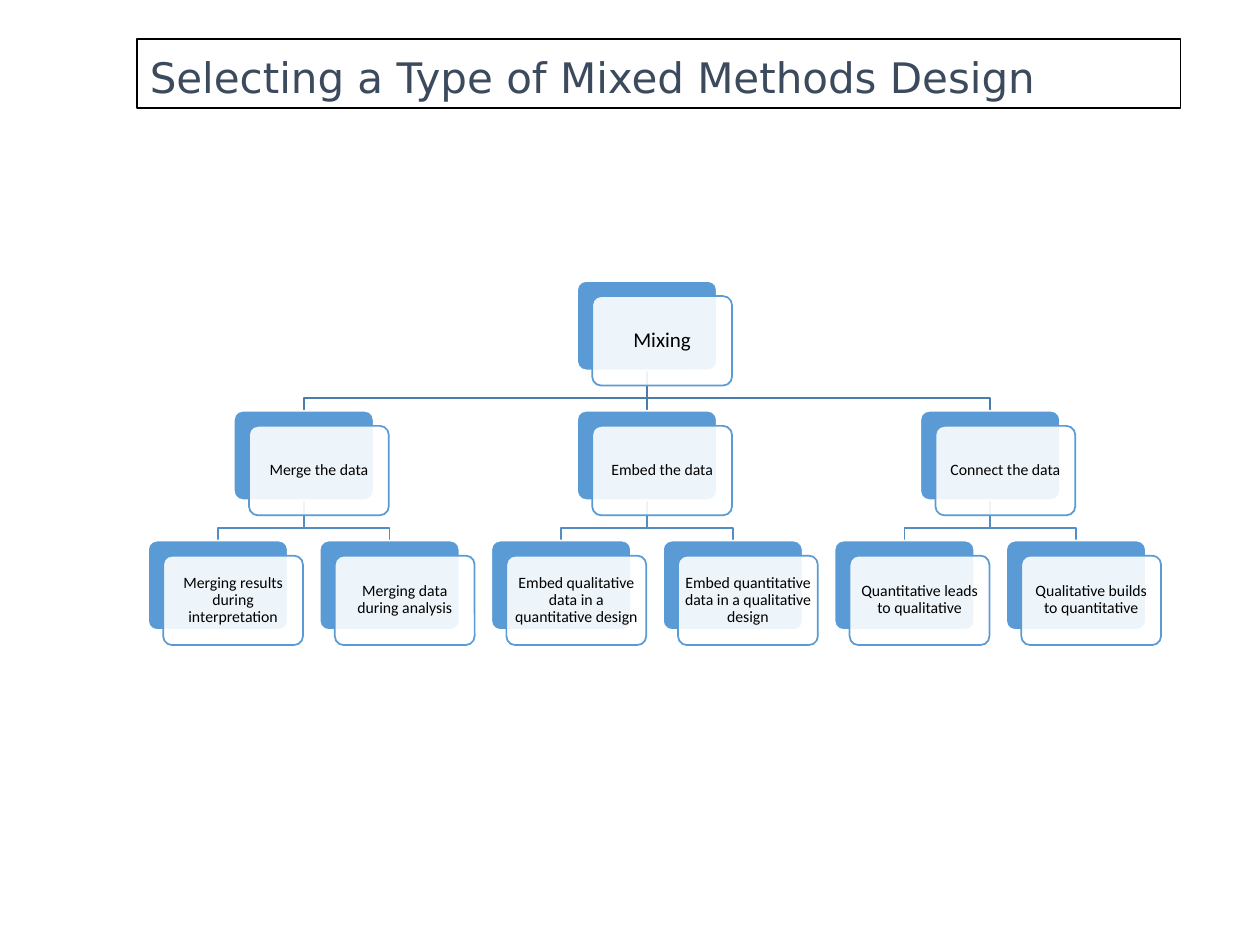
import pptx
import pptx.util
import pptx.dml.color
import pptx.enum.shapes
import pptx.enum.text
from dataclasses import dataclass
from lxml import etree

Inches = pptx.util.Inches
Pt = pptx.util.Pt
SHAPE = pptx.enum.shapes.MSO_SHAPE
ALIGN = pptx.enum.text.PP_ALIGN
ANCHOR = pptx.enum.text.MSO_ANCHOR
A_NS = "http://schemas.openxmlformats.org/drawingml/2006/main"


@dataclass(frozen=True)
class Theme:
    white: str = "FFFFFF"
    black: str = "000000"
    accent: str = "5B9BD5"
    upper_line: str = "497CAB"
    lower_line: str = "538DC1"
    title_color: str = "3C4A5E"
    title_font: str = "DejaVu Sans"
    body_font: str = "Calibri"
    title_size: int = 24
    root_size: int = 12
    node_size: int = 9
    line_width: int = 1


# Layout: leaves sit at equal steps, each parent is centred over its children
CARD_W, CARD_H = 1.11, 0.71
OFFSET = 0.12
LEVEL_TOPS = (2.23, 3.26, 4.29)
ELBOW_DROP = 0.22
FIRST_LEAF, LAST_LEAF = 1.73, 8.54
LEAF_STEP = (LAST_LEAF - FIRST_LEAF) / 5

ROOT = "Mixing"
BRANCHES = {
    "Merge the data": ("Merging results during interpretation",
                       "Merging data during analysis"),
    "Embed the data": ("Embed qualitative data in a quantitative design",
                       "Embed quantitative data in a qualitative design"),
    "Connect the data": ("Quantitative leads to qualitative",
                         "Qualitative builds to quantitative"),
}


def rgb(color):
    return pptx.dml.color.RGBColor.from_string(color)


class Deck:
    def __init__(self, theme):
        self.theme = theme
        self.prs = pptx.Presentation()
        self.prs.slide_width, self.prs.slide_height = Inches(10), Inches(7.5)
        self.s = self.prs.slides.add_slide(self.prs.slide_layouts[6])

    def outline(self, sp, color):
        sp.line.color.rgb = rgb(color)
        sp.line.width = Pt(self.theme.line_width)

    def box(self, kind, x, y, w, h, fill, line):
        sp = self.s.shapes.add_shape(kind, Inches(x), Inches(y), Inches(w), Inches(h))
        sp.shadow.inherit = False
        sp.fill.solid()
        sp.fill.fore_color.rgb = rgb(fill)
        self.outline(sp, line)
        return sp

    def label(self, sp, text, font, size, color, align, anchor):
        tf = sp.text_frame
        tf.text = text
        tf.word_wrap = True
        tf.vertical_anchor = anchor
        p = tf.paragraphs[0]
        p.alignment = align
        p.line_spacing = 0.9
        r = p.runs[0]
        r.font.name, r.font.size = font, Pt(size)
        r.font.color.rgb = rgb(color)

    def title(self, text):
        t = self.theme
        sp = self.box(SHAPE.RECTANGLE, 1.09, 0.31, 8.28, 0.55, t.white, t.black)
        self.label(sp, text, t.title_font, t.title_size, t.title_color,
                   ALIGN.LEFT, ANCHOR.BOTTOM)

    def card(self, center, level, text, size):
        """Draw a solid back card and a labelled front card; return the back one."""
        t = self.theme
        x, y = center - CARD_W / 2, LEVEL_TOPS[level]
        back = self.box(SHAPE.ROUNDED_RECTANGLE, x, y, CARD_W, CARD_H, t.accent, t.white)
        front = self.box(SHAPE.ROUNDED_RECTANGLE, x + OFFSET, y + OFFSET,
                         CARD_W, CARD_H, t.white, t.accent)
        for sp in (back, front):
            sp.adjustments[0] = 0.1
        color = front._element.spPr.find(f"{{{A_NS}}}solidFill/{{{A_NS}}}srgbClr")
        etree.SubElement(color, f"{{{A_NS}}}alpha", val="90000")
        tf = front.text_frame
        tf.margin_left = tf.margin_right = Inches(0.03)
        tf.margin_top = tf.margin_bottom = Inches(0.04)
        self.label(front, text, t.body_font, size, t.black, ALIGN.CENTER, ANCHOR.MIDDLE)
        return back

    def elbow(self, parent, child, level, color):
        top, bottom = LEVEL_TOPS[level] + CARD_H, LEVEL_TOPS[level + 1]
        turn = top + ELBOW_DROP
        points = [(parent, turn), (child, turn), (child, bottom)]
        fb = self.s.shapes.build_freeform(Inches(parent), Inches(top))
        fb.add_line_segments([(Inches(x), Inches(y)) for x, y in points], close=False)
        sp = fb.convert_to_shape()
        sp.shadow.inherit = False
        sp.fill.background()
        self.outline(sp, color)

    def straight(self, x, level, color):
        c = self.s.shapes.add_connector(
            pptx.enum.shapes.MSO_CONNECTOR.STRAIGHT,
            Inches(x), Inches(LEVEL_TOPS[level] + CARD_H),
            Inches(x), Inches(LEVEL_TOPS[level + 1]))
        self.outline(c, color)
        etree.SubElement(c._element.spPr, f"{{{A_NS}}}effectLst")
        return c


def main():
    t = Theme()
    deck = Deck(t)

    leaf_x = [FIRST_LEAF + LEAF_STEP * i for i in range(6)]
    branch_x = [(a + b) / 2 for a, b in zip(leaf_x[::2], leaf_x[1::2])]
    root_x = branch_x[1]

    # Lines first, so that the cards lie over them
    for i, x in enumerate(branch_x):
        for child in leaf_x[2 * i:2 * i + 2]:
            deck.elbow(x, child, 1, t.lower_line)
    for x in (branch_x[0], branch_x[2]):
        deck.elbow(root_x, x, 0, t.upper_line)
    stem = deck.straight(root_x, 0, t.upper_line)

    # Cards
    root = deck.card(root_x, 0, ROOT, t.root_size)
    branch_cards = []
    for i, (branch, leaves) in enumerate(BRANCHES.items()):
        branch_cards.append(deck.card(branch_x[i], 1, branch, t.node_size))
        for x, leaf in zip(leaf_x[2 * i:], leaves):
            deck.card(x, 2, leaf, t.node_size)
    stem.begin_connect(root, 2)
    stem.end_connect(branch_cards[1], 0)

    # Title
    deck.title("Selecting a Type of Mixed Methods Design")
    deck.prs.save("out.pptx")


if __name__ == "__main__":
    main()
